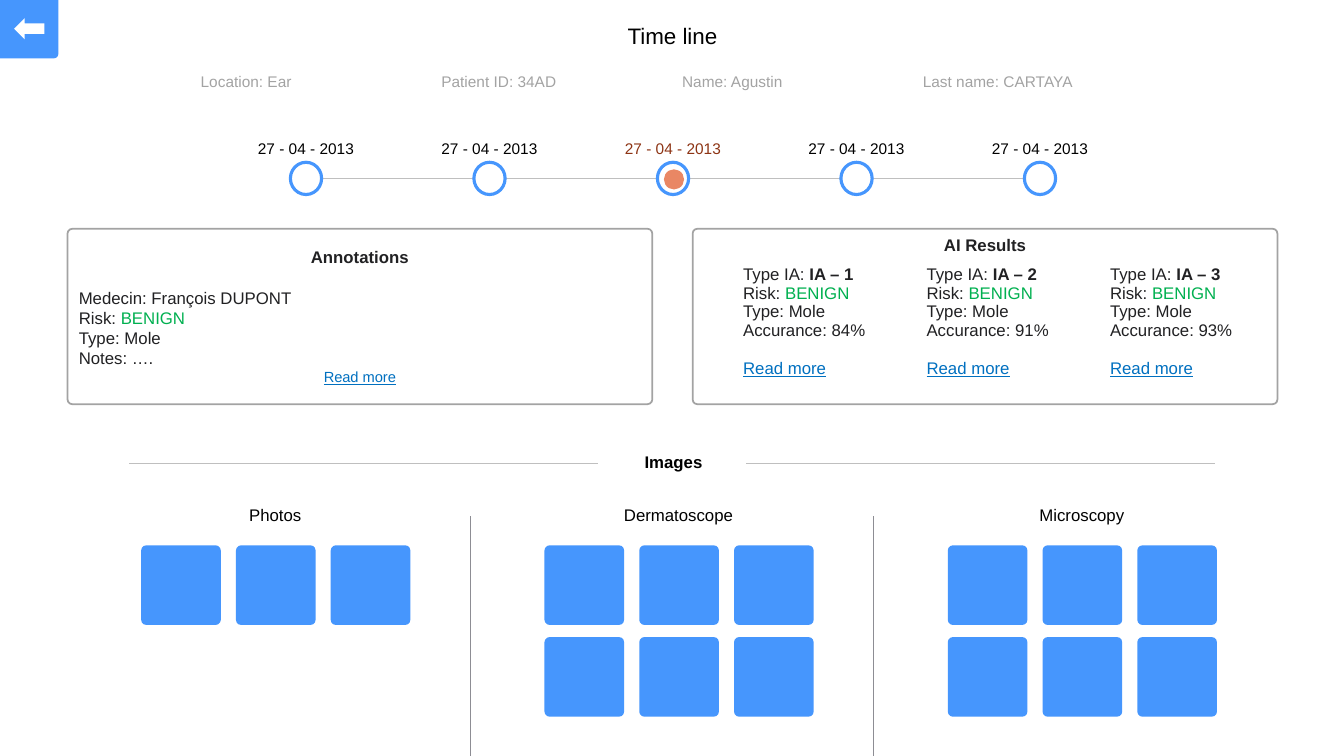
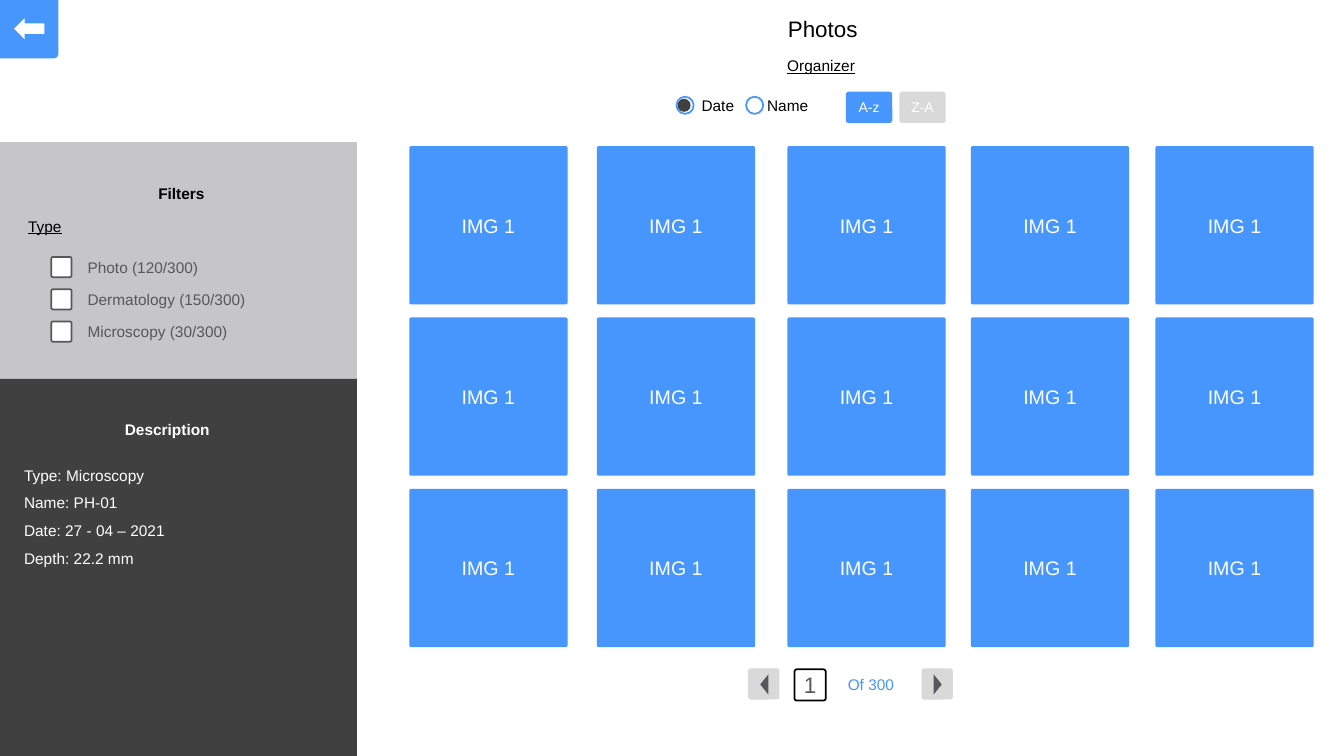
from dataclasses import dataclass

from lxml.etree import SubElement
from pptx import Presentation
from pptx.dml.color import RGBColor
from pptx.enum.shapes import MSO_CONNECTOR, MSO_SHAPE
from pptx.enum.text import MSO_ANCHOR, PP_ALIGN
from pptx.oxml.ns import qn
from pptx.util import Inches, Pt

FONT = "Arial"
BLUE, WHITE, BLACK = "4696FD", "FFFFFF", "000000"
INK, CHARCOAL, SLATE = "212123", "404040", "57575C"
GRAY, SILVER, PALE, RULE, DIVIDER = "A3A3A3", "C6C6C9", "D9D9D9", "BFBFBF", "8D8D94"
GREEN, LINK, RUST, CORAL = "00B050", "0070C0", "8D3414", "E98764"
NO_GRID_STYLE = "{2D5ABB26-0587-4C30-8999-92F81FD0307C}"
CENTER = PP_ALIGN.CENTER


@dataclass
class Line:
    """One paragraph: a label, an optional styled tail and its formatting."""

    label: str
    size: float = 12
    color: str = INK
    bold: bool = False
    underline: bool = False
    align: PP_ALIGN = PP_ALIGN.LEFT
    tail: str = ""
    tail_color: str = INK
    tail_bold: bool = False
    gap: float = 0
    pitch: object = None


def rgb(value):
    """Turn a hex string into a colour."""
    return RGBColor.from_string(value)


def box(left, top, width, height):
    """Convert four lengths in inches."""
    return [Inches(length) for length in (left, top, width, height)]


def write(frame, lines):
    """Fill a text frame with lines."""
    for index, line in enumerate(lines):
        paragraph = frame.paragraphs[0] if index == 0 else frame.add_paragraph()
        paragraph.alignment = line.align
        paragraph.space_before = Pt(line.gap)
        if line.pitch:
            paragraph.line_spacing = line.pitch
        font = paragraph.font
        font.name, font.size = FONT, Pt(line.size)
        font.bold, font.underline = line.bold, line.underline
        font.color.rgb = rgb(line.color)
        paragraph.add_run().text = line.label
        if line.tail:
            tail = paragraph.add_run()
            tail.text = line.tail
            tail.font.bold = line.tail_bold
            tail.font.color.rgb = rgb(line.tail_color)


def add_text(slide, at, *lines, wrap=True):
    """Add a text box."""
    frame = slide.shapes.add_textbox(*box(*at)).text_frame
    frame.word_wrap = wrap
    write(frame, lines)


def add_block(slide, kind, at, fill=None, outline=None, weight=1.25, corner=None, turn=0):
    """Add a flat preset shape."""
    block = slide.shapes.add_shape(kind, *box(*at))
    block.shadow.inherit = False
    block.rotation = turn
    if corner is not None:
        block.adjustments[0] = corner
    if fill:
        block.fill.solid()
        block.fill.fore_color.rgb = rgb(fill)
    else:
        block.fill.background()
    if outline:
        block.line.color.rgb = rgb(outline)
        block.line.width = Pt(weight)
    else:
        block.line.fill.background()
    return block


def add_button(slide, at, label, size, fill, color=WHITE, outline=None, corner=0.087):
    """Add a rounded block with a centred label."""
    button = add_block(slide, MSO_SHAPE.ROUNDED_RECTANGLE, at, fill, outline, corner=corner)
    frame = button.text_frame
    frame.margin_left = frame.margin_right = frame.margin_top = frame.margin_bottom = 0
    frame.vertical_anchor = MSO_ANCHOR.MIDDLE
    write(frame, [Line(label, size, color, align=CENTER)])


def add_rule(slide, x1, y1, x2, y2, color=RULE):
    """Add a thin straight line."""
    ends = [Inches(length) for length in (x1, y1, x2, y2)]
    rule = slide.shapes.add_connector(MSO_CONNECTOR.STRAIGHT, *ends)
    rule.line.color.rgb = rgb(color)
    rule.line.width = Pt(0.75)
    SubElement(rule._element.spPr, qn("a:effectLst"))


def add_row(slide, at, cells):
    """Add a plain one-row table of equal columns."""
    table = slide.shapes.add_table(1, len(cells), *box(*at)).table
    table.first_row = table.horz_banding = False
    table._tbl.tblPr.find(qn("a:tableStyleId")).text = NO_GRID_STYLE
    for cell, lines in zip(table.rows[0].cells, cells):
        cell.fill.background()
        write(cell.text_frame, lines)


def add_page(deck, title, at):
    """Start a white slide with its title and back button."""
    slide = deck.slides.add_slide(deck.slide_layouts[6])
    slide.background.fill.solid()
    slide.background.fill.fore_color.rgb = rgb(WHITE)
    add_text(slide, at, Line(title, 16, BLACK, align=CENTER), wrap=False)
    add_block(slide, MSO_SHAPE.ROUND_1_RECTANGLE, (-0.01, -0.01, 0.59, 0.59), BLUE,
              corner=0.081, turn=90)
    add_block(slide, MSO_SHAPE.LEFT_ARROW, (0.14, 0.18, 0.3, 0.21), WHITE)
    return slide


def add_timeline(slide, date, stops, current):
    """Draw the dated stops and mark the current one."""
    first, step, width, height, top = 2.88, 1.82, 0.31, 0.32, 1.61
    middle = top + height / 2
    for stop in range(stops):
        left = first + step * stop
        center = left + width / 2
        if stop < stops - 1:
            add_rule(slide, left + width, middle, left + step, middle)
        if stop == current:
            add_block(slide, MSO_SHAPE.OVAL, (center - 0.09, 1.68, 0.2, 0.2), CORAL)
        add_block(slide, MSO_SHAPE.OVAL, (left, top, width, height), outline=BLUE, weight=2.25)
        add_text(slide, (center - 0.62, 1.33, 1.24, 0.29),
                 Line(date, 11, RUST if stop == current else BLACK, align=CENTER))


def add_panel(slide, left, anchor, lines):
    """Add an outlined panel of text."""
    panel = add_block(slide, MSO_SHAPE.ROUNDED_RECTANGLE, (left, 2.27, 5.8, 1.74),
                      WHITE, GRAY, corner=0.027)
    panel.text_frame.word_wrap = True
    panel.text_frame.vertical_anchor = anchor
    write(panel.text_frame, lines)


def add_thumbnails(slide, left, heading, rows):
    """Add a heading over rows of three thumbnails."""
    add_text(slide, (left, 4.96, 2.82, 0.3), Line(heading, color=BLACK, align=CENTER))
    for row in range(rows):
        for column in range(3):
            add_block(slide, MSO_SHAPE.ROUNDED_RECTANGLE,
                      (left + 0.08 + 0.94 * column, 5.41 + 0.91 * row, 0.79, 0.79),
                      BLUE, corner=0.065)


def ai_result(name, accuracy):
    """Return the lines of one AI result."""
    pitch = Pt(13.4)
    return [
        Line("Type IA: ", tail=name, tail_bold=True, pitch=pitch),
        Line("Risk: ", tail="BENIGN", tail_color=GREEN, pitch=pitch),
        Line("Type: Mole", pitch=pitch),
        Line(f"Accurance: {accuracy}", pitch=pitch),
        Line("Read more", color=LINK, underline=True, gap=13.4, pitch=pitch),
    ]


def build_timeline(deck):
    """Build the patient timeline slide."""
    slide = add_page(deck, "Time line", (6.12, 0.17, 1.1, 0.37))
    patient = ("Location: Ear", "Patient ID: 34AD", "Name: Agustin", "Last name: CARTAYA")
    add_row(slide, (1.89, 0.68, 9.55, 0.41), [[Line(fact, 11, GRAY)] for fact in patient])
    add_timeline(slide, "27 - 04 - 2013", stops=5, current=2)

    pitch = Pt(14.3)
    add_panel(slide, 0.67, MSO_ANCHOR.MIDDLE, [
        Line("Annotations", bold=True, align=CENTER, pitch=pitch),
        Line("Medecin: François DUPONT", gap=15, pitch=pitch),
        Line("Risk: ", tail="BENIGN", tail_color=GREEN, pitch=pitch),
        Line("Type: Mole", pitch=pitch),
        Line("Notes: ….", pitch=pitch),
        Line("Read more", 10.5, LINK, underline=True, align=CENTER),
    ])
    add_panel(slide, 6.87, MSO_ANCHOR.TOP, [Line("AI Results", bold=True, align=CENTER)])
    results = (("IA – 1", "84%"), ("IA – 2", "91%"), ("IA – 3", "93%"))
    add_row(slide, (7.27, 2.58, 5.46, 1.39), [ai_result(*result) for result in results])

    add_text(slide, (5.27, 4.43, 2.82, 0.3), Line("Images", color=BLACK, bold=True, align=CENTER))
    for left in (1.28, 7.4):
        add_rule(slide, left, 4.6, left + 4.65, 4.6)
    for index, (heading, rows) in enumerate(
            (("Photos", 1), ("Dermatoscope", 2), ("Microscopy", 2))):
        add_thumbnails(slide, 1.32 + 4 * index, heading, rows)
    for divider in (4.67, 8.66):
        add_rule(slide, divider, 5.12, divider, 7.5, DIVIDER)


def add_filters(slide):
    """Add the filter panel with its checkboxes."""
    add_block(slide, MSO_SHAPE.RECTANGLE, (0, 1.41, 3.54, 2.36), SILVER)
    add_text(slide, (0.03, 1.78, 3.54, 0.29), Line("Filters", 11, BLACK, bold=True, align=CENTER))
    add_text(slide, (0.18, 2.1, 3.39, 0.29), Line("Type", 11, BLACK, underline=True))
    options = ("Photo (120/300)", "Dermatology (150/300)", "Microscopy (30/300)")
    for index, option in enumerate(options):
        top = 2.51 + 0.32 * index
        add_block(slide, MSO_SHAPE.ROUNDED_RECTANGLE, (0.51, top + 0.04, 0.2, 0.2),
                  WHITE, SLATE, corner=0.076)
        add_text(slide, (0.77, top, 2.66, 0.29), Line(option, 11, SLATE))


def add_description(slide):
    """Add the dark panel describing the selected image."""
    add_block(slide, MSO_SHAPE.RECTANGLE, (0, 3.76, 3.54, 3.74), CHARCOAL)
    add_text(slide, (-0.11, 4.12, 3.54, 0.29),
             Line("Description", 11, WHITE, bold=True, align=CENTER))
    facts = ("Type: Microscopy", "Name: PH-01", "Date: 27 - 04 – 2021", "Depth: 22.2 mm")
    add_text(slide, (0.14, 4.48, 2.66, 1.18), *[Line(fact, 11, WHITE, pitch=1.5) for fact in facts])


def add_organizer(slide):
    """Add the sorting choices."""
    add_text(slide, (7.71, 0.51, 1.06, 0.29), Line("Organizer", 11, BLACK, underline=True))
    add_block(slide, MSO_SHAPE.OVAL, (6.72, 0.98, 0.13, 0.13), CHARCOAL)
    for left, label_left, width, label in ((6.71, 6.86, 0.54, "Date"), (7.4, 7.51, 0.7, "Name")):
        add_block(slide, MSO_SHAPE.OVAL, (left, 0.96, 0.17, 0.17), outline=BLUE)
        add_text(slide, (label_left, 0.9, width, 0.29), Line(label, 11, BLACK), wrap=False)
    add_button(slide, (8.39, 0.91, 0.46, 0.31), "A-z", 10, BLUE)
    add_button(slide, (8.92, 0.91, 0.46, 0.31), "Z-A", 10, PALE)


def add_pager(slide):
    """Add the page controls."""
    for left, turn in ((7.42, 270), (9.14, 90)):
        add_block(slide, MSO_SHAPE.ROUNDED_RECTANGLE, (left, 6.63, 0.31, 0.31), PALE, corner=0.087)
        add_block(slide, MSO_SHAPE.ISOSCELES_TRIANGLE, (left + 0.06, 6.75, 0.2, 0.08),
                  SLATE, turn=turn)
    add_button(slide, (7.88, 6.64, 0.31, 0.31), "1", 16, WHITE, SLATE, BLACK, corner=0.073)
    add_text(slide, (8.31, 6.65, 0.75, 0.29), Line("Of 300", 11, BLUE))


def build_gallery(deck):
    """Build the photo gallery slide."""
    slide = add_page(deck, "Photos", (7.71, 0.1, 0.9, 0.37))
    add_filters(slide)
    add_description(slide)
    add_organizer(slide)
    for row in range(3):
        for left in (4.06, 5.92, 7.81, 9.63, 11.46):
            add_button(slide, (left, 1.45 + 1.7 * row, 1.57, 1.57), "IMG 1", 14, BLUE, corner=0.012)
    add_pager(slide)


def main():
    """Build and save the deck."""
    deck = Presentation()
    deck.slide_width, deck.slide_height = Inches(13.33), Inches(7.5)
    build_timeline(deck)
    build_gallery(deck)
    deck.save("out.pptx")


if __name__ == "__main__":
    main()
